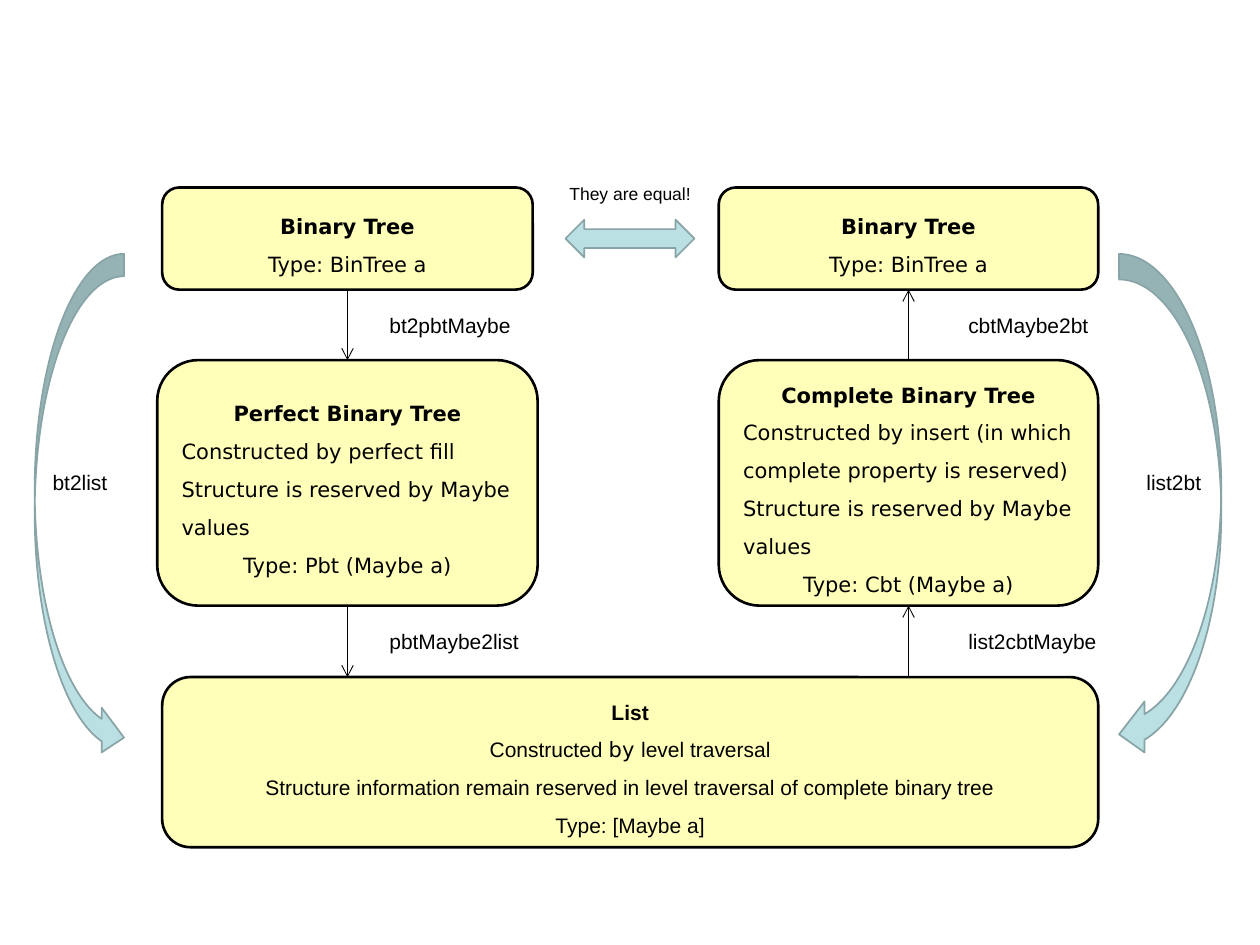
import pptx
import pptx.dml.color
import pptx.enum.shapes
import pptx.enum.text
import pptx.oxml
import pptx.oxml.ns
import pptx.util

Cm = pptx.util.Cm
Pt = pptx.util.Pt
Kind = pptx.enum.shapes.MSO_SHAPE
Align = pptx.enum.text.PP_ALIGN
Anchor = pptx.enum.text.MSO_ANCHOR
SANS, ARIAL = "DejaVu Sans", "Arial"
MID, LEFT = Align.CENTER, Align.LEFT
KEEP = "Structure is reserved by Maybe values"

boxes = {
    "tree_in": ((3.27, 3.78, 7.47, 2.06), SANS,
                [("Binary Tree", MID), ("Type: BinTree a", MID)]),
    "perfect": ((3.17, 7.26, 7.67, 4.95), SANS,
                [("Perfect Binary Tree", MID), ("Constructed by perfect fill", LEFT),
                 (KEEP, LEFT), ("Type: Pbt (Maybe a)", MID)]),
    "list": ((3.27, 13.65, 18.87, 3.43), ARIAL,
             [("List", MID),
              ([("Constructed ", ARIAL), ("by ", SANS), ("level traversal", ARIAL)], MID),
              ("Structure information remain reserved in level traversal of complete binary tree", MID),
              ("Type: [Maybe a]", MID)]),
    "complete": ((14.49, 7.26, 7.65, 4.95), SANS,
                 [("Complete Binary Tree", MID),
                  ("Constructed by insert (in which complete property is reserved)", LEFT),
                  (KEEP, LEFT), ("Type: Cbt (Maybe a)", MID)]),
    "tree_out": ((14.49, 3.78, 7.65, 2.06), SANS,
                 [("Binary Tree", MID), ("Type: BinTree a", MID)]),
}
links = [("tree_in", "perfect"), ("perfect", "list"),
         ("complete", "tree_out"), ("list", "complete")]
labels = [
    ("bt2pbtMaybe", 7.6, 6.17, 3.1, 12),
    ("pbtMaybe2list", 7.6, 12.55, 3.3, 12),
    ("list2cbtMaybe", 19.27, 12.55, 3.3, 12),
    ("cbtMaybe2bt", 19.27, 6.17, 3.1, 12),
    ("They are equal!", 11.23, 3.56, 3.1, 10),
    ("bt2list", 0.81, 9.35, 1.8, 12),
    ("list2bt", 22.86, 9.35, 1.8, 12),
]
arrows = [
    (Kind.LEFT_RIGHT_ARROW, (11.4, 4.43, 2.6, 0.76)),
    (Kind.CURVED_RIGHT_ARROW, (0.7, 5.12, 1.8, 10.2)),
    (Kind.CURVED_LEFT_ARROW, (22.56, 5.12, 2.06, 10.2)),
]


def color(code):
    return pptx.dml.color.RGBColor.from_string(code)


def write(para, text, size=12, font=ARIAL, bold=False, align=LEFT, gap=1.0):
    para.alignment = align
    para.line_spacing = gap
    for part, face in [(text, font)] if isinstance(text, str) else text:
        run = para.add_run()
        run.text = part
        run.font.size = Pt(size)
        run.font.name = face
        run.font.bold = bold
        run.font.color.rgb = color("000000")


def draw(kind, place, fill, line, width):
    shape = slide.shapes.add_shape(kind, *map(Cm, place))
    shape.shadow.inherit = False
    shape.fill.solid()
    shape.fill.fore_color.rgb = color(fill)
    shape.line.color.rgb = color(line)
    shape.line.width = Pt(width)
    return shape


def link(start, end):
    first, last = shapes[start], shapes[end]
    down = first.top < last.top
    column = last if start == "list" else first
    x = column.left + column.width // 2
    y1 = first.top + first.height if down else first.top
    y2 = last.top if down else last.top + last.height
    line = slide.shapes.add_connector(pptx.enum.shapes.MSO_CONNECTOR.STRAIGHT, x, y1, x, y2)
    if start != "list":
        line.begin_connect(first, 2 if down else 0)
    if end != "list":
        line.end_connect(last, 0 if down else 2)
    line.line.color.rgb = color("000000")
    line.line.width = Pt(0.5)
    tip = pptx.oxml.parse_xml(f'<a:tailEnd {pptx.oxml.ns.nsdecls("a")} type="arrow"/>')
    line.line._get_or_add_ln().append(tip)
    flat = pptx.oxml.parse_xml(f'<a:effectLst {pptx.oxml.ns.nsdecls("a")}/>')
    line._element.spPr.append(flat)


deck = pptx.Presentation()
deck.slide_width, deck.slide_height = Cm(25.4), Cm(19.05)
slide = deck.slides.add_slide(deck.slide_layouts[6])

shapes = {}
for name, (place, font, lines) in boxes.items():
    box = shapes[name] = draw(Kind.ROUNDED_RECTANGLE, place, "FFFFB9", "000000", 1.5)
    frame = box.text_frame
    frame.word_wrap = True
    frame.vertical_anchor = Anchor.MIDDLE
    for i, (text, align) in enumerate(lines):
        para = frame.add_paragraph() if i else frame.paragraphs[0]
        write(para, text, font=font, bold=i == 0, align=align, gap=1.5)

for pair in links:
    link(*pair)

for kind, place in arrows:
    draw(kind, place, "BBE0E3", "89A4A7", 1)

for text, x, y, width, size in labels:
    height = 0.76 if size == 12 else 0.69
    frame = slide.shapes.add_textbox(*map(Cm, (x, y, width, height))).text_frame
    frame.word_wrap = False
    write(frame.paragraphs[0], text, size=size)

deck.save("out.pptx")
